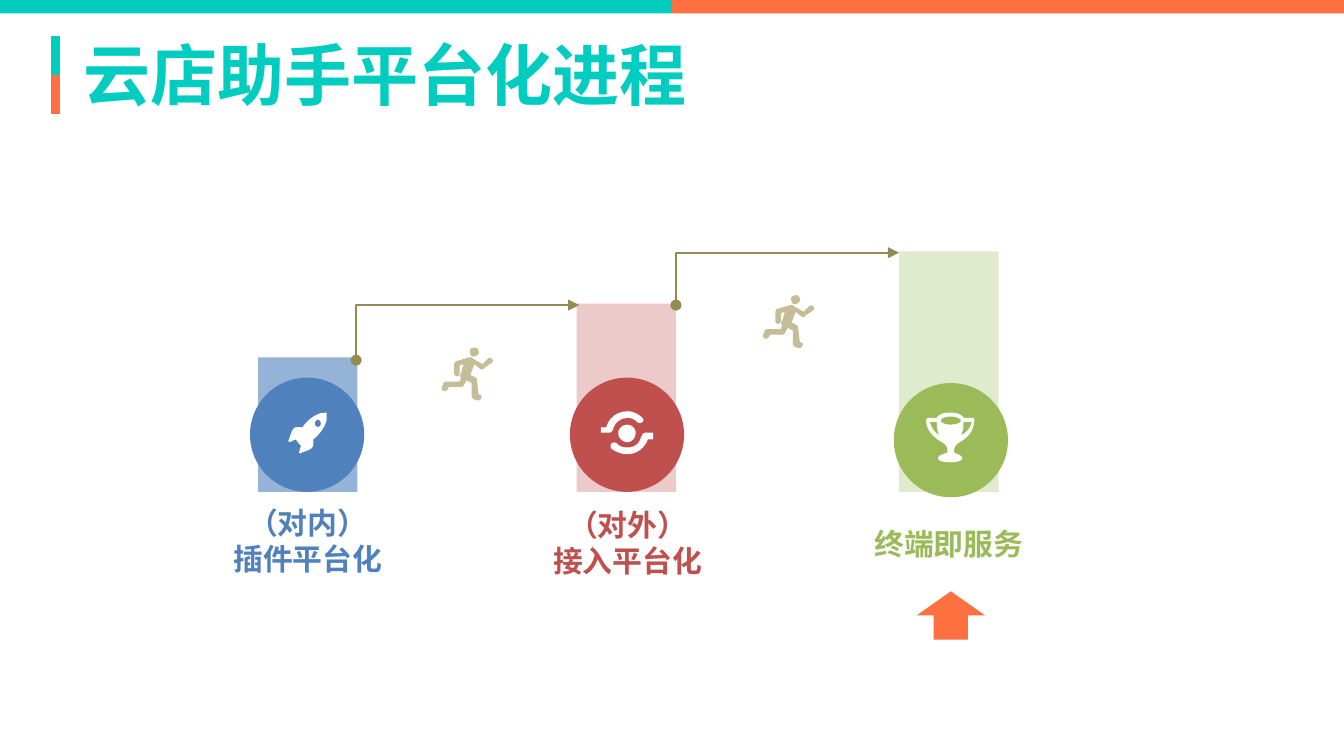
from dataclasses import dataclass

from lxml import etree
from pptx import Presentation
from pptx import util as u
from pptx.dml.color import RGBColor
from pptx.enum import shapes, text
from pptx.oxml import ns

TEAL = RGBColor(0x00, 0xCC, 0xBF)
TITLE_TEAL = RGBColor(0x00, 0xCD, 0xBF)
ORANGE = RGBColor(0xFF, 0x70, 0x40)
WHITE = RGBColor(0xFF, 0xFF, 0xFF)
BLUE = RGBColor(0x4F, 0x81, 0xBD)
LIGHT_BLUE = RGBColor(0x95, 0xB3, 0xD7)
RED = RGBColor(0xC0, 0x50, 0x4D)
LIGHT_RED = RGBColor(0xD9, 0x96, 0x94)
GREEN = RGBColor(0x9B, 0xBB, 0x59)
LIGHT_GREEN = RGBColor(0xC3, 0xD6, 0x9B)
SAND = RGBColor(0xC4, 0xBD, 0x97)
OLIVE = RGBColor(0x94, 0x8A, 0x54)

Contour = list[tuple[float, ...]]

ROCKET: list[Contour] = [
    [(21, 10), (20, 9, 20, 7, 21, 6), (22, 5, 23, 5, 24, 6), (25, 7, 25, 9, 24, 10),
     (23, 11, 22, 11, 21, 10)],
    [(19, 20), (19, 20, 31, 11, 29, 1), (29, 0), (19, -1, 11, 11, 11, 11),
     (3, 10, 4, 12, 1, 20), (0, 21, 1, 22, 2, 22), (3, 21, 6, 20, 6, 20), (10, 25),
     (10, 25, 9, 27, 9, 28), (8, 30, 9, 31, 10, 30), (18, 27, 20, 27, 19, 20)],
]
ORBIT: list[Contour] = [
    [(33, 16), (31, 16, 31, 18, 30, 19), (29, 24, 25, 27, 20, 27), (16, 27, 14, 26, 12, 24),
     (11, 23, 9, 23, 8, 24), (7, 25, 7, 27, 8, 28), (11, 30, 15, 32, 20, 32),
     (27, 32, 33, 27, 35, 21), (39, 21), (39, 16)],
    [(9, 14), (10, 9, 14, 5, 20, 5), (23, 5, 25, 6, 27, 8), (28, 9, 30, 9, 31, 8),
     (32, 7, 32, 6, 31, 5), (28, 2, 24, 0, 20, 0), (12, 0, 6, 5, 4, 12), (0, 12), (0, 16),
     (6, 16), (8, 16, 8, 15, 9, 14)],
    [(13, 16), (13, 20, 16, 23, 20, 23), (23, 23, 26, 20, 26, 16), (26, 13, 23, 10, 20, 10),
     (16, 10, 13, 13, 13, 16)],
]
TROPHY: list[Contour] = [
    [(3, 7), (8, 7), (8, 12, 9, 15, 10, 17), (7, 15, 4, 12, 3, 7)],
    [(18, 3), (24, 3, 26, 5, 26, 6), (26, 7, 24, 9, 18, 9), (13, 9, 11, 7, 11, 6),
     (11, 5, 13, 3, 18, 3)],
    [(26, 17), (27, 15, 28, 12, 28, 7), (34, 7), (33, 12, 30, 15, 26, 17)],
    [(21, 28), (21, 25, 23, 23, 27, 21), (31, 18, 36, 14, 36, 5), (36, 5, 36, 4, 35, 4),
     (28, 4), (27, 2, 24, 0, 18, 0), (12, 0, 9, 2, 8, 4), (2, 4), (1, 4, 0, 5, 0, 5),
     (0, 14, 6, 18, 10, 21), (14, 23, 16, 25, 16, 28), (16, 30), (12, 31, 9, 32, 9, 34),
     (9, 36, 13, 37, 18, 37), (23, 37, 27, 36, 27, 34), (27, 32, 24, 31, 21, 30)],
]
RUNNER: list[Contour] = [
    [(25, 7), (27, 6, 28, 4, 27, 3), (27, 1, 24, 0, 23, 1), (21, 1, 20, 3, 21, 5),
     (21, 7, 23, 8, 25, 7)],
    [(37, 9), (36, 8, 35, 8, 34, 9), (30, 13), (23, 9), (22, 8), (20, 8), (10, 11),
     (10, 11, 9, 12, 9, 13), (9, 20), (9, 21, 10, 22, 11, 22), (12, 22, 13, 21, 13, 20),
     (13, 14), (16, 13), (14, 20), (13, 21, 13, 22, 14, 23), (13, 26), (3, 26),
     (2, 26, 2, 26, 1, 27), (0, 30), (-1, 31, 0, 32, 1, 33), (2, 33, 3, 33, 4, 32),
     (5, 30), (14, 30), (15, 30, 15, 30, 16, 29), (18, 25), (22, 27), (22, 37),
     (22, 38, 23, 38, 23, 39), (26, 40), (27, 40, 29, 40, 29, 38), (30, 37, 29, 36, 28, 36),
     (27, 35), (26, 26), (26, 25, 26, 24, 25, 23), (21, 21), (24, 13), (29, 17),
     (30, 17, 31, 17, 31, 16), (37, 12), (38, 11, 38, 10, 37, 9)],
]
CURVE_STEPS = 6
UNITS_PER_INCH = 10000
BAR_WIDTH = 0.74
BAR_BOTTOM = 3.66
CIRCLE_SIZE = 0.85


@dataclass
class Stage:
    bar_left: float
    bar_top: float
    bar_color: RGBColor
    bar_opacity: int
    circle_left: float
    circle_top: float
    color: RGBColor
    icon: list[Contour]
    icon_left: float
    icon_top: float
    label_left: float
    label_top: float
    label_height: float
    lines: list[str]


@dataclass
class Step:
    left: float
    right: float
    top: float
    bottom: float
    runner_left: float
    runner_top: float


STAGES = [
    Stage(1.92, 2.66, LIGHT_BLUE, 100, 1.86, 2.81, BLUE, ROCKET, 2.14, 3.07,
          1.4, 3.74, 0.56, ["（对内）", "插件平台化"]),
    Stage(4.29, 2.26, LIGHT_RED, 50, 4.24, 2.81, RED, ORBIT, 4.47, 3.06,
          3.78, 3.89, 0.29, ["（对外）", "接入平台化"]),
    Stage(6.69, 1.87, LIGHT_GREEN, 50, 6.65, 2.85, GREEN, TROPHY, 6.89, 3.07,
          6.17, 3.9, 0.29, ["终端即服务"]),
]
STEPS = [Step(2.65, 4.31, 2.27, 2.68, 3.29, 2.58), Step(5.03, 6.69, 1.88, 2.27, 5.68, 2.19)]


def flatten(contour: Contour) -> list[tuple[float, float]]:
    points = [contour[0]]
    for segment in contour[1:]:
        if len(segment) == 2:
            points.append(segment)
            continue
        controls = [points[-1], segment[:2], segment[2:4], segment[4:]]
        for index in range(1, CURVE_STEPS + 1):
            t = index / CURVE_STEPS
            weights = [(1 - t) ** 3, 3 * t * (1 - t) ** 2, 3 * t * t * (1 - t), t ** 3]
            points.append(tuple(sum(w * c[axis] for w, c in zip(weights, controls))
                                for axis in (0, 1)))
    return points


def paint(shape, color: RGBColor, opacity: int = 100) -> None:
    shape.shadow.inherit = False
    shape.line.fill.background()
    shape.fill.solid()
    shape.fill.fore_color.rgb = color
    if opacity < 100:
        fill_color = shape.fill._xPr.find(ns.qn("a:solidFill"))[0]
        etree.SubElement(fill_color, ns.qn("a:alpha"), val=str(opacity * 1000))


def add_block(slide, kind, left: float, top: float, width: float, height: float,
              color: RGBColor, opacity: int = 100) -> None:
    box = [u.Inches(value) for value in (left, top, width, height)]
    paint(slide.shapes.add_shape(kind, *box), color, opacity)


def add_icon(slide, contours: list[Contour], left: float, top: float, color: RGBColor) -> None:
    builder = slide.shapes.build_freeform(scale=u.Inches(1) / UNITS_PER_INCH)
    for contour in contours:
        points = [(x * 100, y * 100) for x, y in flatten(contour)]
        builder.move_to(*points[0])
        builder.add_line_segments(points[1:], close=True)
    paint(builder.convert_to_shape(u.Inches(left), u.Inches(top)), color)


def add_step(slide, step: Step) -> None:
    builder = slide.shapes.build_freeform(u.Inches(step.left), u.Inches(step.bottom))
    builder.add_line_segments([(u.Inches(step.left), u.Inches(step.top)),
                               (u.Inches(step.right), u.Inches(step.top))], close=False)
    shape = builder.convert_to_shape()
    shape.shadow.inherit = False
    shape.fill.background()
    shape.line.color.rgb = OLIVE
    shape.line.width = u.Pt(1)
    line = shape.line._get_or_add_ln()
    etree.SubElement(line, ns.qn("a:headEnd"), type="oval")
    etree.SubElement(line, ns.qn("a:tailEnd"), type="triangle")
    add_icon(slide, RUNNER, step.runner_left, step.runner_top, SAND)


def add_label(slide, stage: Stage) -> None:
    frame = slide.shapes.add_textbox(
        u.Inches(stage.label_left), u.Inches(stage.label_top),
        u.Inches(1.78), u.Inches(stage.label_height)).text_frame
    frame.word_wrap = False
    frame.vertical_anchor = text.MSO_ANCHOR.MIDDLE
    frame.margin_left = frame.margin_right = u.Inches(0.03)
    frame.margin_top = frame.margin_bottom = u.Inches(0.03)
    for index, line in enumerate(stage.lines):
        paragraph = frame.add_paragraph() if index else frame.paragraphs[0]
        paragraph.alignment = text.PP_ALIGN.CENTER
        run = paragraph.add_run()
        run.text = line
        run.font.name = "Calibri"
        run.font.size = u.Pt(16)
        run.font.bold = True
        run.font.color.rgb = stage.color


def add_stage(slide, stage: Stage) -> None:
    add_block(slide, shapes.MSO_SHAPE.RECTANGLE, stage.bar_left, stage.bar_top, BAR_WIDTH,
              BAR_BOTTOM - stage.bar_top, stage.bar_color, stage.bar_opacity)
    add_block(slide, shapes.MSO_SHAPE.OVAL, stage.circle_left, stage.circle_top,
              CIRCLE_SIZE, CIRCLE_SIZE, stage.color)
    add_icon(slide, stage.icon, stage.icon_left, stage.icon_top, WHITE)
    add_label(slide, stage)


def add_marker(slide, top: float, color: RGBColor) -> None:
    marker = slide.shapes.add_connector(shapes.MSO_CONNECTOR.STRAIGHT, u.Inches(0.41),
                                        u.Inches(top), u.Inches(0.41), u.Inches(top + 0.29))
    marker.line.color.rgb = color
    marker.line.width = u.Pt(4.9)
    etree.SubElement(marker._element.spPr, ns.qn("a:effectLst"))


def set_title(slide, wording: str) -> None:
    title = slide.shapes.title
    title.left, title.top = u.Inches(0.62), u.Inches(0.25)
    title.width, title.height = u.Inches(7.16), u.Inches(0.6)
    frame = title.text_frame
    frame.auto_size = text.MSO_AUTO_SIZE.NONE
    frame.vertical_anchor = text.MSO_ANCHOR.MIDDLE
    frame.margin_left = frame.margin_right = frame.margin_top = frame.margin_bottom = 0
    paragraph = frame.paragraphs[0]
    paragraph.alignment = text.PP_ALIGN.LEFT
    run = paragraph.add_run()
    run.text = wording
    run.font.size = u.Pt(35.9)
    run.font.bold = True
    run.font.color.rgb = TITLE_TEAL
    run.font.name = "Noto Sans CJK SC"
    etree.SubElement(run.font._element, ns.qn("a:ea"), typeface="Noto Sans CJK SC")


def main() -> None:
    presentation = Presentation()
    presentation.slide_width = u.Inches(10)
    presentation.slide_height = presentation.slide_width * 9 // 16
    slide = presentation.slides.add_slide(presentation.slide_layouts[5])
    for index, color in enumerate((TEAL, ORANGE)):
        add_block(slide, shapes.MSO_SHAPE.RECTANGLE, 5 * index, 0, 5, 0.1, color)
        add_marker(slide, 0.27 + 0.29 * index, color)
    set_title(slide, "云店助手平台化进程")
    for stage in STAGES:
        add_stage(slide, stage)
    for step in STEPS:
        add_step(slide, step)
    add_block(slide, shapes.MSO_SHAPE.UP_ARROW, 6.82, 4.4, 0.51, 0.36, ORANGE)
    presentation.save("out.pptx")


if __name__ == "__main__":
    main()
